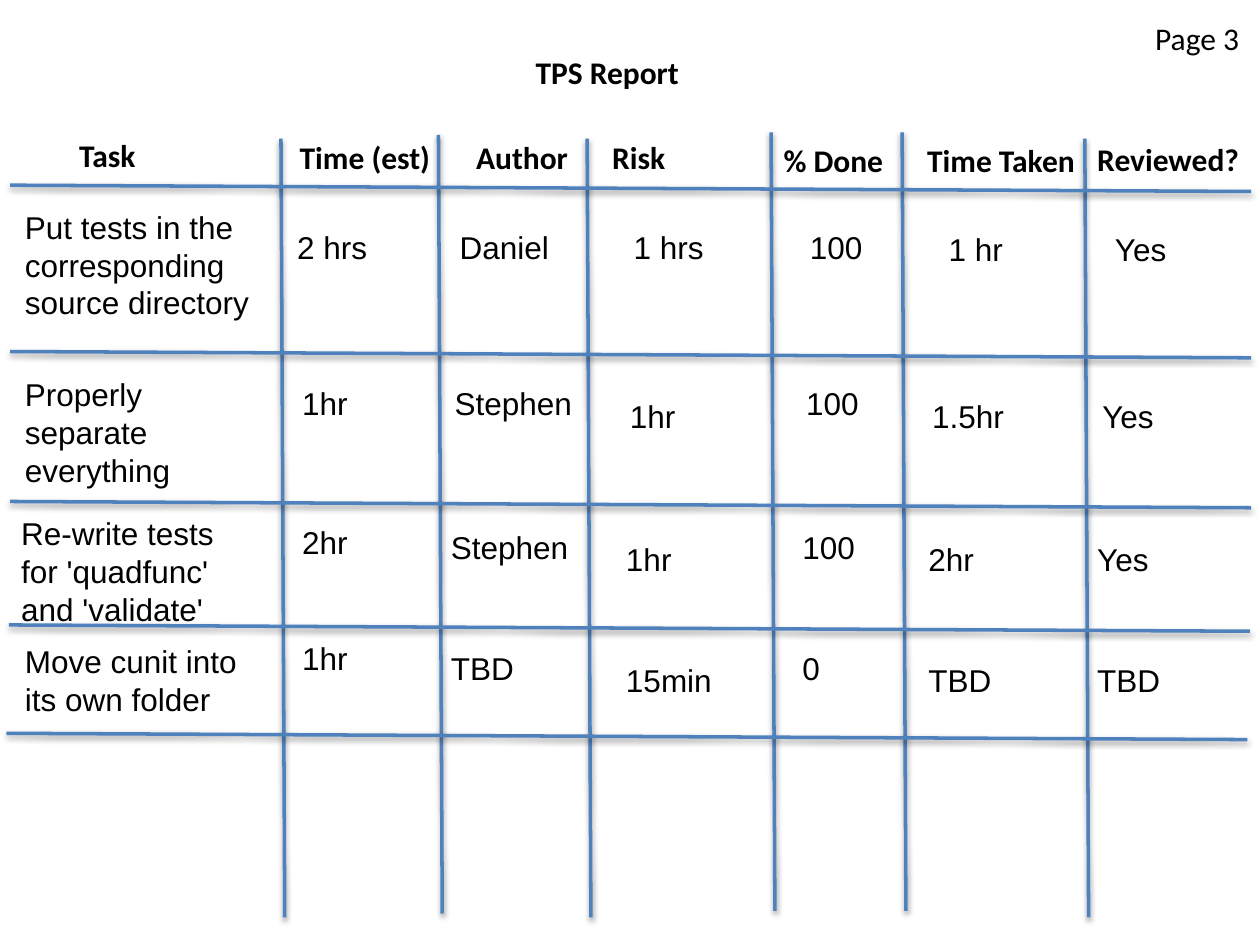
import pptx
import pptx.dml.color
import pptx.enum.shapes
import pptx.enum.text
import pptx.oxml
import pptx.util
from pptx.util import Inches

COLORS = {"text": "000000", "rule": "4F81BD", "shadow": "000000"}
HEADING = {"name": "Calibri", "size": pptx.util.Pt(18), "bold": True}
PAGE_NUMBER = {"name": "Calibri", "size": pptx.util.Pt(18), "bold": False}
BODY = {"name": "Arial", "size": pptx.util.Pt(18), "bold": False}

# Top ends of the column rules and left ends of the row rules, in inches
COLUMN_RULES = [(2.23, 1.1), (3.48, 1.07), (4.66, 1.1),
                (6.12, 1.05), (7.16, 1.05), (8.61, 1.1)]
ROW_RULES = [(0.08, 1.47), (0.08, 2.79), (0.08, 3.98), (0.07, 4.96), (0.05, 5.82)]

# Heading, left, top within the header
HEADERS = [("Task", 0.53, 0), ("Time (est)", 2.28, 0.02), ("Author", 3.68, 0.02),
           ("Risk", 4.76, 0.02), ("% Done", 6.12, 0.04),
           ("Time Taken", 7.26, 0.04), ("Reviewed?", 8.61, 0.03)]

VALUE_WIDTHS = [1.05, 1.15, 1, 0.86, 1.1, 1.05]

# Row box, task, then value, left and top of each cell within the row
ROWS = [
    {"box": (0.1, 1.6, 2.2, 0.94),
     "task": "Put tests in the corresponding source directory",
     "values": ["2 hrs", "Daniel", "1 hrs", "100", "1 hr", "Yes"],
     "lefts": [2.16, 3.45, 4.83, 6.23, 7.33, 8.65],
     "tops": [0.16, 0.16, 0.16, 0.16, 0.18, 0.18]},
    {"box": (0.1, 2.93, 1.9, 0.94),
     "task": "Properly separate everything",
     "values": ["1hr", "Stephen", "1hr", "100", "1.5hr", "Yes"],
     "lefts": [2.2, 3.41, 4.8, 6.2, 7.2, 8.55],
     "tops": [0.07, 0.07, 0.17, 0.07, 0.17, 0.17]},
    {"box": (0.07, 4.03, 2.03, 0.94),
     "task": "Re-write tests for 'quadfunc' and 'validate'",
     "values": ["2hr", "Stephen", "1hr", "100", "2hr", "Yes"],
     "lefts": [2.23, 3.41, 4.8, 6.2, 7.2, 8.54],
     "tops": [0.07, 0.11, 0.21, 0.11, 0.21, 0.21]},
    {"box": (0.1, 5.05, 2, 0.94),
     "task": "Move cunit into its own folder",
     "values": ["1hr", "TBD", "15min", "0", "TBD", "TBD"],
     "lefts": [2.2, 3.38, 4.77, 6.17, 7.17, 8.51],
     "tops": [-0.03, 0.05, 0.15, 0.05, 0.15, 0.15]},
]


def rgb(name):
    return pptx.dml.color.RGBColor.from_string(COLORS[name])


def set_text(shape, text, font_format, wrap=True):
    frame = shape.text_frame
    frame_format = {
        "word_wrap": wrap,
        "auto_size": pptx.enum.text.MSO_AUTO_SIZE.NONE,
        "vertical_anchor": pptx.enum.text.MSO_ANCHOR.TOP,
        "margin_left": Inches(0.1), "margin_right": Inches(0.1),
        "margin_top": Inches(0.05), "margin_bottom": Inches(0.05),
    }
    for name, value in frame_format.items():
        setattr(frame, name, value)
    paragraph = frame.paragraphs[0]
    paragraph.alignment = pptx.enum.text.PP_ALIGN.LEFT
    run = paragraph.add_run()
    run.text = text
    for name, value in font_format.items():
        setattr(run.font, name, value)
    run.font.color.rgb = rgb("text")


def add_text(slide, box, text, font_format, wrap=True):
    shape = slide.shapes.add_textbox(*map(Inches, box))
    set_text(shape, text, font_format, wrap)


def add_rule(slide, start, run, rise):
    """Draw a shadowed rule that leaves start by run across and rise down."""
    left, top = start
    line = slide.shapes.add_connector(
        pptx.enum.shapes.MSO_CONNECTOR.STRAIGHT,
        Inches(left), Inches(top), Inches(left + run), Inches(top + rise))
    line.line.color.rgb = rgb("rule")
    line.line.width = pptx.util.Pt(2)
    line._element.spPr.append(pptx.oxml.parse_xml(
        '<a:effectLst xmlns:a="http://schemas.openxmlformats.org/drawingml/2006/main">'
        f'<a:outerShdw blurRad="{pptx.util.Pt(3.1)}" dist="{pptx.util.Pt(1.6)}" '
        'dir="5400000" rotWithShape="0">'
        f'<a:srgbClr val="{COLORS["shadow"]}"><a:alpha val="38000"/></a:srgbClr>'
        '</a:outerShdw></a:effectLst>'))


def add_title(slide, box):
    title = slide.shapes.title
    for name, value in zip(("left", "top", "width", "height"), box):
        setattr(title, name, Inches(value))
    set_text(title, "TPS Report", HEADING)


def add_grid(slide, length, height):
    # The rules lean slightly, all by the same amount
    for start in COLUMN_RULES:
        add_rule(slide, start, 0.03, height)
    for start in ROW_RULES:
        add_rule(slide, start, length, 0.05)


def add_header(slide, box):
    left, top, width, height = box
    for text, x, y in HEADERS:
        add_text(slide, (left + x, top + y, width, height), text, HEADING)


def add_task_row(slide, row):
    left, top, _, _ = row["box"]
    add_text(slide, row["box"], row["task"], BODY)
    for text, x, y, width in zip(row["values"], row["lefts"], row["tops"], VALUE_WIDTHS):
        add_text(slide, (left + x, top + y, width, 0.38), text, BODY)


def main():
    presentation = pptx.Presentation()
    presentation.slide_width = Inches(10)
    presentation.slide_height = Inches(7.5)
    slide = presentation.slides.add_slide(presentation.slide_layouts.get_by_name("Title Only"))

    # Title and page number
    add_title(slide, (4.15, 0.37, 1.37, 0.4))
    add_text(slide, (9.07, 0.1, 0.86, 0.4), "Page 3", PAGE_NUMBER, wrap=False)

    # Report grid and its contents
    add_grid(slide, length=9.85, height=6.18)
    add_header(slide, (0, 1.03, 1.52, 0.4))
    for row in ROWS:
        add_task_row(slide, row)

    presentation.save("out.pptx")


if __name__ == "__main__":
    main()
